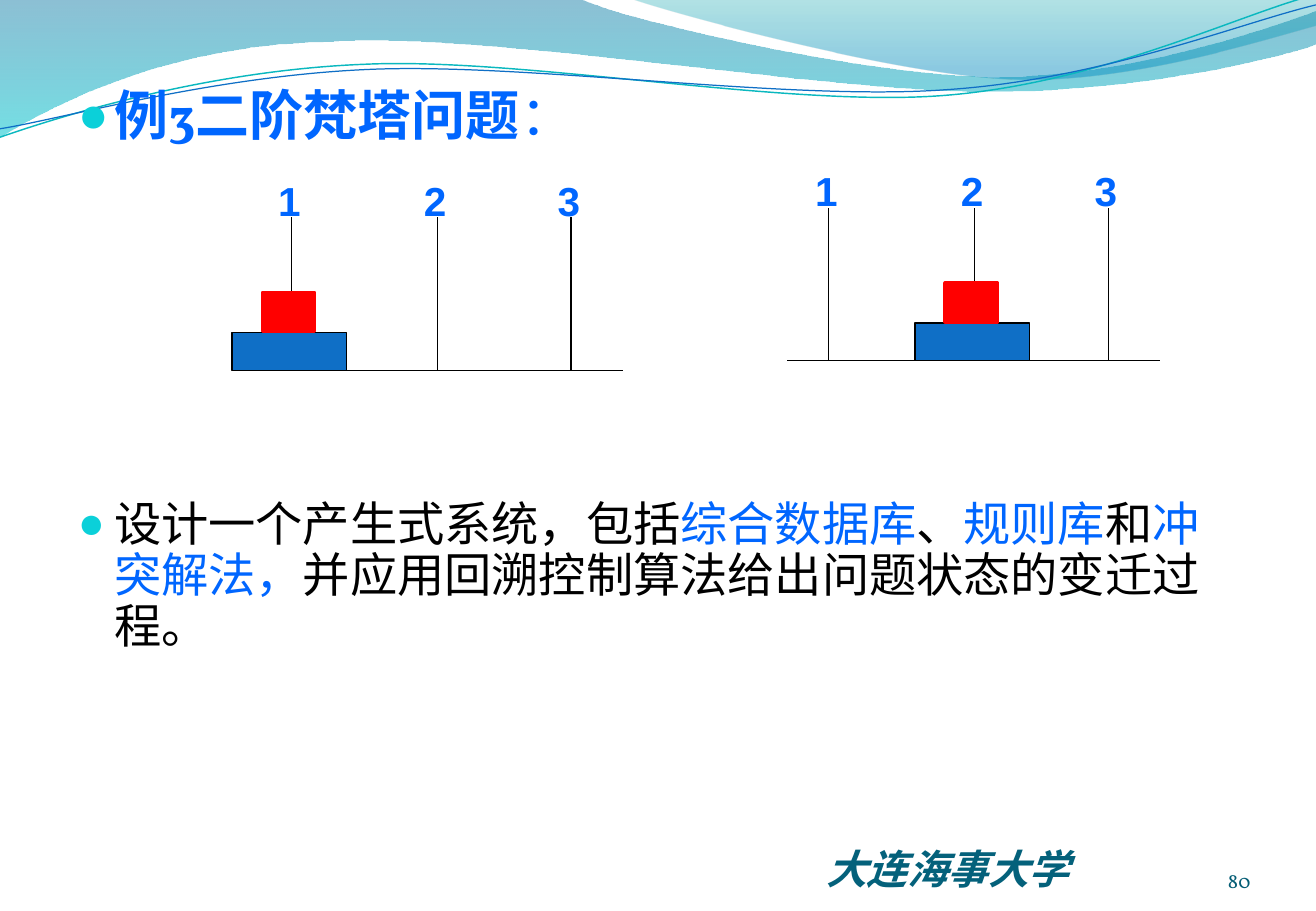
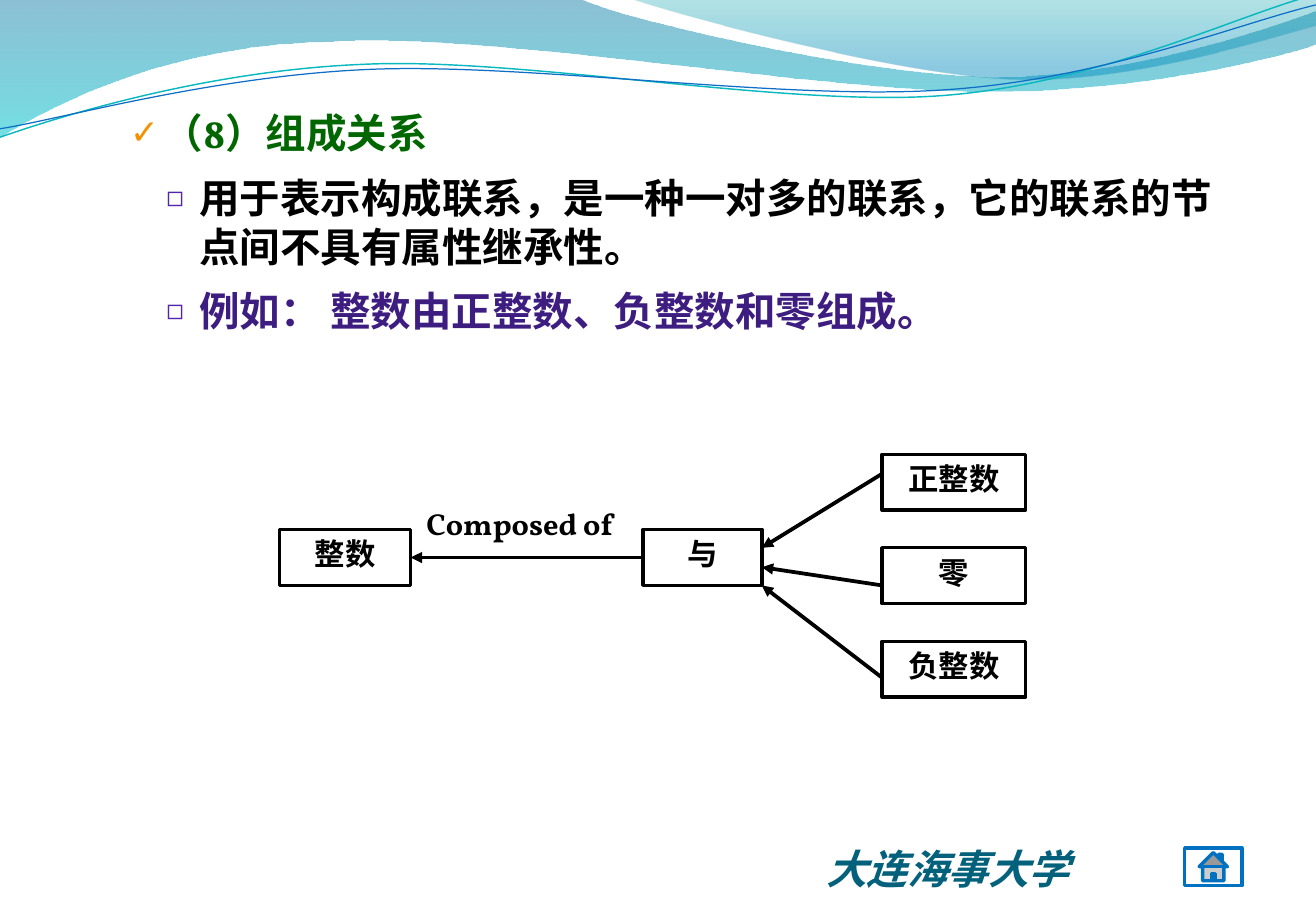
from lxml.etree import SubElement
from pptx import Presentation
from pptx.dml.color import RGBColor
from pptx.enum.shapes import MSO_CONNECTOR, MSO_SHAPE
from pptx.enum.text import MSO_ANCHOR, MSO_AUTO_SIZE, PP_ALIGN
from pptx.oxml.ns import qn
from pptx.util import Inches, Pt

BLACK = RGBColor(0x00, 0x00, 0x00)
WHITE = RGBColor(0xFF, 0xFF, 0xFF)
RED = RGBColor(0xFF, 0x00, 0x00)
BLUE = RGBColor(0x00, 0x66, 0xFF)
DISK_BLUE = RGBColor(0x0F, 0x6F, 0xC6)
BUTTON_BLUE = RGBColor(0x00, 0x70, 0xC0)
GREEN = RGBColor(0x00, 0x66, 0x00)
PURPLE = RGBColor(0x3E, 0x1D, 0x81)
BULLET_CYAN = RGBColor(0x0B, 0xD0, 0xD9)
BULLET_ORANGE = RGBColor(0xF4, 0x91, 0x00)
BULLET_PURPLE = RGBColor(0x52, 0x26, 0xAA)
FOOTER_TEAL = RGBColor(0x04, 0x61, 0x7B)
NUMBER_TEAL = RGBColor(0x04, 0x5D, 0x75)
WAVE_TOP = RGBColor(0x00, 0x74, 0xA1)
WAVE_BOTTOM = RGBColor(0x00, 0xC6, 0xCF)
CREST_TOP = RGBColor(0x00, 0xA1, 0xA9)
CREST_BOTTOM = RGBColor(0x00, 0x8B, 0xBF)
STRAND_TEAL = RGBColor(0x0A, 0xB8, 0xBF)

SERIF = "Vollkorn"
SANS = "Arial"
CJK = "Noto Sans CJK SC"

ROUND_BULLET = ("●", BULLET_CYAN, 95, 0.3, 0.3)
CHECK_BULLET = ("✓", BULLET_ORANGE, 85, 0.7, 0.27)
SQUARE_BULLET = ("◻", BULLET_PURPLE, 70, 1, 0.27)

BANDS = [
    ([(0, 0), (4.77, -0.01),
      (5.15, 0.17, 7.19, 0.63, 8.22, 0.63), (9.24, 0.63, 10.38, 0.26, 10.83, 0.09),
      (10.84, 0.36),
      (10.65, 0.44, 9.42, 0.76, 8.08, 0.75), (6.74, 0.75, 4.14, 0.28, 2.79, 0.34),
      (1.4, 0.36, 0.5, 0.83, -0.01, 1.13), (0, 0)],
     [(0, WAVE_TOP, 45), (1, WAVE_BOTTOM, 55)]),
    ([(5.19, -0.01), (5.52, 0.11, 7.39, 0.62, 8.33, 0.65),
      (9.27, 0.69, 10.42, 0.32, 10.83, 0.21), (10.83, 0), (5.19, -0.01)],
     [(0, CREST_TOP, 30), (0.8, CREST_BOTTOM, 45)]),
]
STRANDS = [
    ([(0, 1.13), (0.52, 0.95, 1.71, 0.58, 3, 0.53),
      (4.28, 0.47, 6.42, 0.88, 7.72, 0.79), (9.02, 0.7, 10.17, 0.13, 10.81, -0.04)],
     STRAND_TEAL, 0.85),
    ([(0, 1.06), (0.51, 0.98, 1.77, 0.62, 3.07, 0.57),
      (4.36, 0.52, 6.47, 0.83, 7.76, 0.74), (9.06, 0.66, 10.2, 0.19, 10.83, 0.04)],
     DISK_BLUE, 0.75),
]


def inches(*lengths):
    return [Inches(length) for length in lengths]


def add_outline(slide, steps, close):
    start, *rest = steps
    corners = [inches(*step[i:i + 2]) for step in rest for i in range(0, len(step), 2)]
    builder = slide.shapes.build_freeform(*inches(*start))
    builder.add_line_segments(corners, close=close)
    outline = builder.convert_to_shape()
    outline.shadow.inherit = False
    segments = iter(list(outline.element.iter(qn("a:lnTo"))))
    for step in rest:
        segment = next(segments)
        if len(step) == 6:
            curve = segment.makeelement(qn("a:cubicBezTo"))
            segment.addprevious(curve)
            for knot in (segment, next(segments), next(segments)):
                curve.append(knot[0])
                knot.getparent().remove(knot)
    return outline


def add_backdrop(slide):
    for steps, stops in BANDS:
        band = add_outline(slide, steps, True)
        band.line.fill.background()
        band.fill.gradient()
        band.fill.gradient_angle = 270
        for stop, (position, color, _) in zip(band.fill.gradient_stops, stops):
            stop.position = position
            stop.color.rgb = color
        tints = list(band.element.spPr.iter(qn("a:srgbClr")))
        for tint, (_, _, opacity) in zip(tints, stops):
            SubElement(tint, qn("a:alpha")).set("val", str(opacity * 1000))
    for steps, color, width in STRANDS:
        strand = add_outline(slide, steps, False)
        strand.fill.background()
        strand.line.color.rgb = color
        strand.line.width = Pt(width)


def format_font(font, name, size, color=None, bold=None, italic=None):
    font.name = name
    font.size = Pt(size)
    font.bold = bold
    font.italic = italic
    if color is not None:
        font.color.rgb = color


def add_text(slide, box, text, name, size, color, bold=None, italic=None):
    label = slide.shapes.add_textbox(*inches(*box))
    label.text_frame.word_wrap = True
    paragraph = label.text_frame.paragraphs[0]
    paragraph.text = text
    format_font(paragraph.font, name, size, color, bold, italic)
    return label


def set_bullet(paragraph, char, color, percent, margin, hanging):
    properties = paragraph._p.get_or_add_pPr()
    properties.set("marL", str(Inches(margin)))
    properties.set("indent", str(-Inches(hanging)))
    bullet_color = SubElement(properties, qn("a:buClr"))
    SubElement(bullet_color, qn("a:srgbClr")).set("val", str(color))
    SubElement(properties, qn("a:buSzPct")).set("val", str(percent * 1000))
    SubElement(properties, qn("a:buFont")).set("typeface", SANS)
    SubElement(properties, qn("a:buChar")).set("char", char)


def format_point(paragraph, level, bullet, before, spacing):
    paragraph.level = level
    set_bullet(paragraph, *bullet)
    paragraph.space_before = Pt(before)
    paragraph.line_spacing = spacing


def start_slide(deck, box):
    slide = deck.slides.add_slide(deck.slide_layouts[1])
    title = slide.shapes.title
    title.element.getparent().remove(title.element)
    add_backdrop(slide)
    add_text(slide, (6.7, 6.9, 3.41, 0.51), "大连海事大学", SANS, 24, FOOTER_TEAL, True, True)
    body = slide.placeholders[1]
    body.element.getparent().append(body.element)
    body.left, body.top, body.width, body.height = inches(*box)
    body.text_frame.auto_size = MSO_AUTO_SIZE.NONE
    return slide, body.text_frame


def add_line(slide, start, end, width):
    line = slide.shapes.add_connector(MSO_CONNECTOR.STRAIGHT, *inches(*start, *end))
    line.line.color.rgb = BLACK
    line.line.width = Pt(width)
    SubElement(line.element.spPr, qn("a:effectLst"))
    return line


def add_arrow(slide, start, end):
    arrow = add_line(slide, start, end, 2.25)
    SubElement(arrow.line._get_or_add_ln(), qn("a:tailEnd")).set("type", "triangle")
    return arrow


def add_block(slide, box, fill, line, width, preset=MSO_SHAPE.RECTANGLE):
    block = slide.shapes.add_shape(preset, *inches(*box))
    block.shadow.inherit = False
    if fill is None:
        block.fill.background()
    else:
        block.fill.solid()
        block.fill.fore_color.rgb = fill
    block.line.color.rgb = line
    block.line.width = Pt(width)
    return block


def add_towers(slide, left, base, loaded_peg):
    add_line(slide, (left, base), (left + 3.07, base), 0.75)
    pegs = [left + offset for offset in (0.34, 1.54, 2.64)]
    for number, peg in enumerate(pegs, 1):
        add_line(slide, (peg, base), (peg, base - 1.26), 0.75)
        add_text(slide, (peg - 0.21, base - 1.65, 0.68, 0.5), str(number),
                 SANS, 24, BLUE, True)
    peg = pegs[loaded_peg - 1]
    add_block(slide, (peg - 0.49, base - 0.31, 0.94, 0.31), DISK_BLUE, BLACK, 0.75)
    add_block(slide, (peg - 0.24, base - 0.64, 0.43, 0.32), RED, RED, 2.25)


def write_task(frame):
    heading = frame.paragraphs[0]
    heading.text = "例3二阶梵塔问题"
    format_point(heading, 0, ROUND_BULLET, 0, 0.9)
    format_font(heading.font, SERIF, 32, BLUE, True)
    colon = heading.add_run()
    colon.text = "："
    colon.font.bold = False
    task = frame.add_paragraph()
    format_point(task, 1, ROUND_BULLET, 209.5, 0.9)
    format_font(task.font, SERIF, 28)
    for text, color in [("设计一个产生式系统，包括", BLACK), ("综合数据库", BLUE), ("、", BLACK),
                        ("规则库", BLUE), ("和", BLACK), ("冲突解法，", BLUE),
                        ("并应用回溯控制算法给出问题状态的变迁过程。", BLACK)]:
        run = task.add_run()
        run.text = text
        run.font.color.rgb = color


def build_hanoi_slide(deck):
    slide, frame = start_slide(deck, (0.54, 0.68, 9.75, 6.24))
    write_task(frame)
    number = add_text(slide, (9.39, 6.95, 0.9, 0.4), "80", SERIF, 12, NUMBER_TEAL)
    corner = number.text_frame
    corner.margin_left = corner.margin_top = corner.margin_right = corner.margin_bottom = 0
    corner.vertical_anchor = MSO_ANCHOR.BOTTOM
    corner.paragraphs[0].alignment = PP_ALIGN.RIGHT
    add_towers(slide, 6.48, 2.97, 2)
    add_towers(slide, 2.06, 3.05, 1)


def write_explanation(frame):
    points = [("（8）组成关系", 1, CHECK_BULLET, SERIF, GREEN),
              ("用于表示构成联系，是一种一对多的联系，它的联系的节点间不具有属性继承性。",
               2, SQUARE_BULLET, CJK, BLACK),
              ("例如： 整数由正整数、负整数和零组成。", 2, SQUARE_BULLET, SERIF, PURPLE)]
    for i, (text, level, bullet, name, color) in enumerate(points):
        paragraph = frame.add_paragraph() if i else frame.paragraphs[0]
        paragraph.text = text
        format_point(paragraph, level, bullet, 9.6 if i else 0, 1.0)
        format_font(paragraph.font, name, 24, color, True)


def add_node(slide, left, top, width, text):
    node = add_block(slide, (left, top, width, 0.46), None, BLACK, 2)
    node.text_frame.vertical_anchor = MSO_ANCHOR.TOP
    paragraph = node.text_frame.paragraphs[0]
    paragraph.text = text
    paragraph.alignment = PP_ALIGN.CENTER
    format_font(paragraph.font, SERIF, 18, BLACK, True)
    return node


def add_composition(slide, left, top):
    whole = add_node(slide, left, top + 0.62, 1.08, "整数")
    junction = add_node(slide, left + 2.99, top + 0.62, 0.98, "与")
    parts = [("正整数", 0.16, 0.77), ("零", 1.08, 0.93), ("负整数", 1.84, 1.08)]
    for row, (text, start, end) in enumerate(parts):
        add_node(slide, left + 4.96, top + row * 0.77, 1.18, text)
        add_arrow(slide, (left + 4.96, top + start), (left + 3.97, top + end))
    composed = add_arrow(slide, (left + 2.99, top + 0.85), (left + 1.08, top + 0.85))
    composed.begin_connect(junction, 1)
    composed.end_connect(whole, 3)
    label = add_text(slide, (left + 1.05, top + 0.37, 1.85, 0.46), "Composed of",
                     SERIF, 18, BLACK, True)
    label.text_frame.paragraphs[0].alignment = PP_ALIGN.CENTER


def build_composition_slide(deck):
    slide, frame = start_slide(deck, (0.54, 0.84, 9.75, 6.08))
    write_explanation(frame)
    add_composition(slide, 2.3, 3.74)
    add_block(slide, (9.75, 6.98, 0.47, 0.31), WHITE, BUTTON_BLUE, 2,
              MSO_SHAPE.ACTION_BUTTON_HOME)


def main():
    deck = Presentation()
    deck.slide_width, deck.slide_height = inches(10.83, 7.5)
    build_hanoi_slide(deck)
    build_composition_slide(deck)
    deck.save("out.pptx")


if __name__ == "__main__":
    main()
